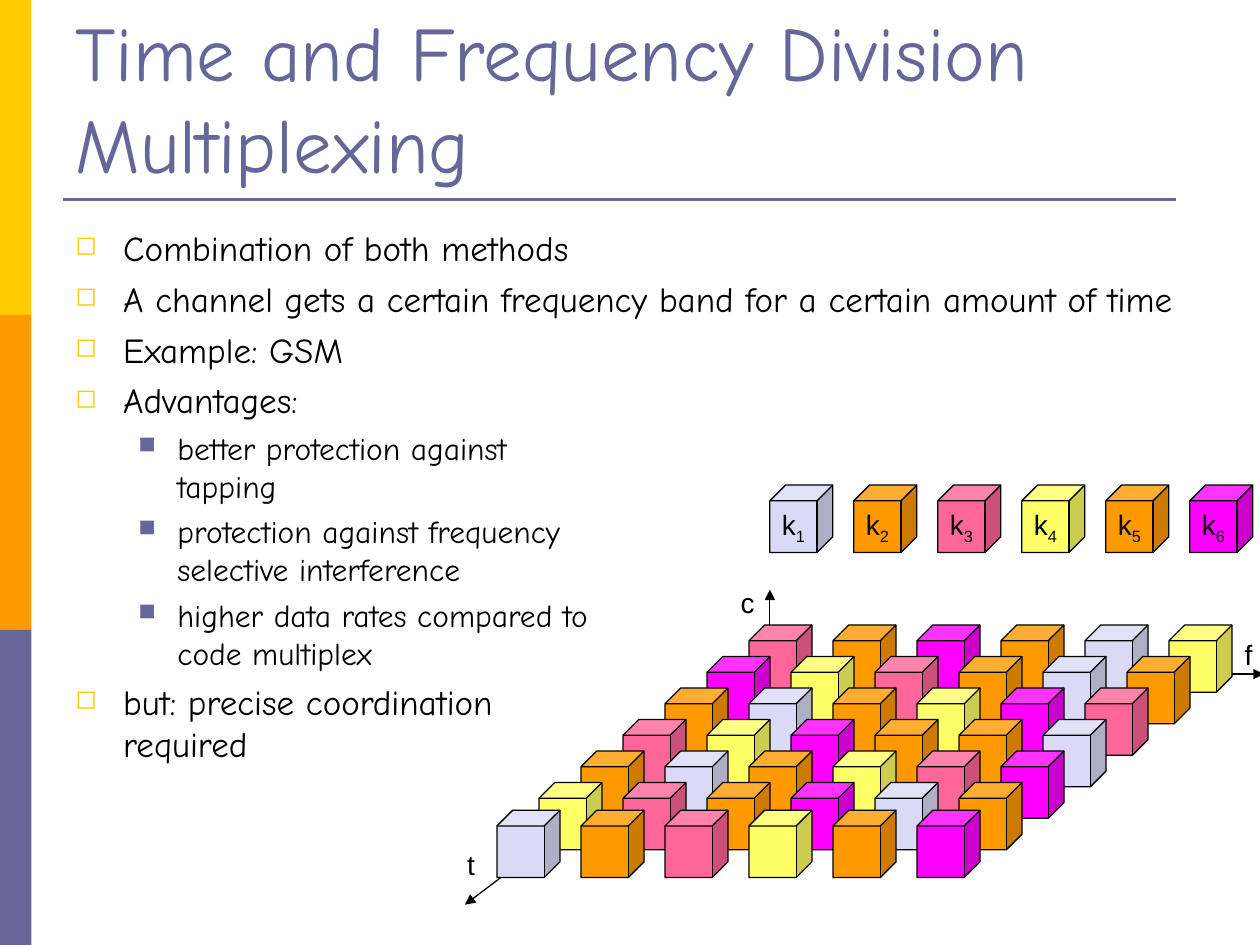
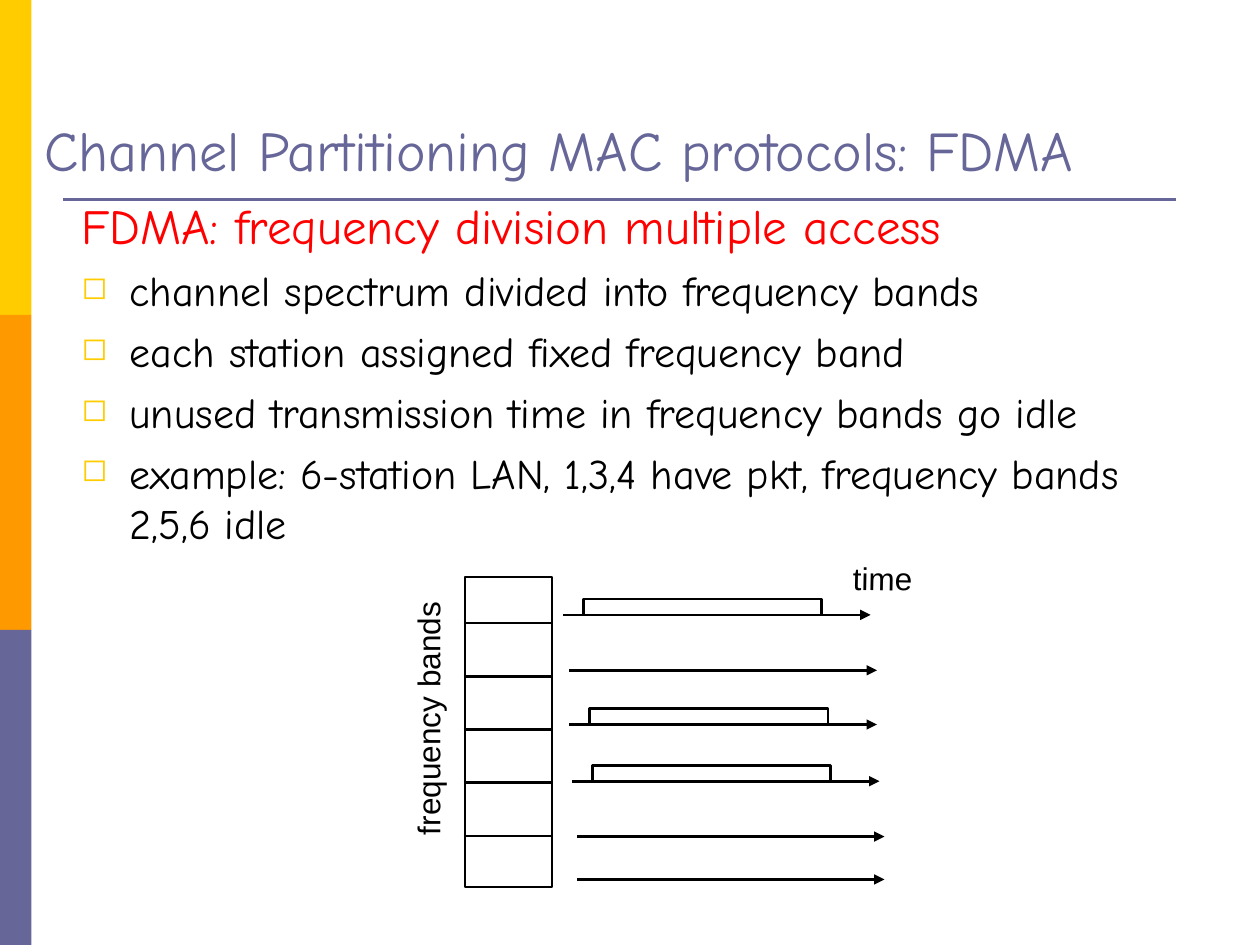
from dataclasses import dataclass

from lxml import etree
from pptx import Presentation
from pptx.dml.color import RGBColor
from pptx.enum.shapes import MSO_CONNECTOR, MSO_SHAPE
from pptx.enum.text import MSO_ANCHOR, MSO_AUTO_SIZE, PP_ALIGN
from pptx.oxml.ns import qn
from pptx.util import Emu, Inches, Pt

STRAIGHT = MSO_CONNECTOR.STRAIGHT
RECTANGLE, CUBE = MSO_SHAPE.RECTANGLE, MSO_SHAPE.CUBE
TOP, MIDDLE, BOTTOM = MSO_ANCHOR.TOP, MSO_ANCHOR.MIDDLE, MSO_ANCHOR.BOTTOM
LEFT, CENTER = PP_ALIGN.LEFT, PP_ALIGN.CENTER
NO_AUTOFIT = MSO_AUTO_SIZE.NONE

COLORS = {
    "slate": "666699", "gold": "FFCC00", "orange": "FF9900", "red": "FF0000",
    "black": "000000", "white": "FFFFFF", "lilac": "DADAF6", "pink": "FF6699",
    "yellow": "FFFF66", "magenta": "FF00FF",
}
HEADING_FONT, LABEL_FONT = "Comic Neue", "Arial"

# The slide is a grid of 40 columns by 30 rows of square cells
SLIDE_WIDTH, SLIDE_HEIGHT = Inches(10), Inches(7.5)
COLUMNS, ROWS = 40, 30
CELL = SLIDE_WIDTH / COLUMNS


@dataclass(frozen=True)
class Box:
    """A place on the grid, in columns and rows."""
    column: float
    row: float
    columns: float
    rows: float

    def lengths(self) -> list[Emu]:
        return [cells(n) for n in (self.column, self.row, self.columns, self.rows)]


@dataclass(frozen=True)
class Bullet:
    character: str
    color: str
    indent: float
    hanging: float


@dataclass(frozen=True)
class Item:
    text: str
    size: float
    space_before: float
    bullet: Bullet | None = None
    color: str = "black"


@dataclass(frozen=True)
class Lane:
    """The time axis of one frequency band."""
    column: float
    row: float
    busy: bool


MAIN = Bullet("◻", "gold", 0.38, 0.38)
SUB = Bullet("■", "slate", 0.81, 0.31)

# Slide 1
MULTIPLEX_ITEMS = [
    Item("Combination of both methods", 20, 5, MAIN),
    Item("A channel gets a certain frequency band for a certain amount of time", 20, 5, MAIN),
    Item("Example: GSM", 20, 5, MAIN),
    Item("Advantages:", 20, 5, MAIN),
    Item("better protection against\ntapping", 18, 4.5, SUB),
    Item("protection against frequency\nselective interference", 18, 4.5, SUB),
    Item("higher data rates compared to\ncode multiplex", 18, 4.5, SUB),
    Item("but: precise coordination\nrequired", 20, 5, MAIN),
]
CHANNELS = ["lilac", "orange", "pink", "yellow", "orange", "magenta"]
# Channel numbers from the back time slot to the front one
TIME_SLOTS = ["326514", "643215", "215463", "346251", "215436", "432615", "123456"]
CUBE_PITCH = 8 / 3

# Slide 2
FDMA_ITEMS = [
    Item("FDMA: frequency division multiple access", 28, 0, color="red"),
    Item("channel spectrum divided into frequency bands", 24, 6, MAIN),
    Item("each station assigned fixed frequency band", 24, 6, MAIN),
    Item("unused transmission time in frequency bands go idle", 24, 6, MAIN),
    Item("example: 6-station LAN, 1,3,4 have pkt, frequency bands 2,5,6 idle", 24, 6, MAIN),
]
LANES = [
    Lane(17.88, 19.52, True), Lane(18.08, 21.28, False), Lane(18.08, 23, True),
    Lane(18.16, 24.8, True), Lane(18.32, 26.56, False), Lane(18.32, 27.92, False),
]


def cells(count: float) -> Emu:
    return Emu(round(count * CELL))


def rgb(name: str) -> RGBColor:
    return RGBColor.from_string(COLORS[name])


def add_bullet(paragraph, bullet: Bullet) -> None:
    properties = paragraph._p.get_or_add_pPr()
    properties.set("marL", str(Inches(bullet.indent)))
    properties.set("indent", str(-Inches(bullet.hanging)))
    color = etree.SubElement(properties, qn("a:buClr"))
    etree.SubElement(color, qn("a:srgbClr"), val=COLORS[bullet.color])
    etree.SubElement(properties, qn("a:buSzPct"), val="75000")
    etree.SubElement(properties, qn("a:buChar"), char=bullet.character)


def write(frame, text: str, *, size: float, font: str = LABEL_FONT, color: str = "black",
          align=LEFT, space_before: float = 0, bullet: Bullet | None = None,
          subscript: str = "") -> None:
    """Write text as the next paragraph of a frame."""
    paragraph = frame.add_paragraph() if frame.text else frame.paragraphs[0]
    paragraph.text = text
    if bullet:
        add_bullet(paragraph, bullet)
    paragraph.alignment = align
    paragraph.space_before = Pt(space_before)
    if subscript:
        run = paragraph.add_run()
        run.text = subscript
        run.font._element.set("baseline", "-25000")
    for run in paragraph.runs:
        run.font.name, run.font.size = font, Pt(size)
        run.font.color.rgb = rgb(color)


def set_frame(frame, anchor=TOP, wrap: bool = True) -> None:
    frame.auto_size = NO_AUTOFIT
    frame.word_wrap = wrap
    frame.vertical_anchor = anchor


def add_shape(slide, kind, box: Box, fill: str, line_width: float = 0):
    shape = slide.shapes.add_shape(kind, *box.lengths())
    shape.shadow.inherit = False
    shape.fill.solid()
    shape.fill.fore_color.rgb = rgb(fill)
    if line_width:
        shape.line.color.rgb = rgb("black")
        shape.line.width = Pt(line_width)
    else:
        shape.line.fill.background()
    return shape


def add_line(slide, start: tuple[float, float], end: tuple[float, float], width: float,
             color: str = "black", arrow: bool = False) -> None:
    line = slide.shapes.add_connector(STRAIGHT, *map(cells, start + end))
    line.line.color.rgb = rgb(color)
    line.line.width = Pt(width)
    if arrow:
        etree.SubElement(line.line._get_or_add_ln(), qn("a:tailEnd"), type="triangle")
    etree.SubElement(line._element.spPr, qn("a:effectLst"))


def add_label(slide, text: str, box: Box, size: float, rotation: float = 0) -> None:
    label = slide.shapes.add_textbox(*box.lengths())
    label.rotation = rotation
    set_frame(label.text_frame, wrap=False)
    write(label.text_frame, text, size=size)


def add_body(slide, box: Box, items: list[Item]) -> None:
    frame = slide.shapes.add_textbox(*box.lengths()).text_frame
    set_frame(frame)
    for item in items:
        write(frame, item.text, size=item.size, font=HEADING_FONT, color=item.color,
              space_before=item.space_before, bullet=item.bullet)


def add_slide(presentation, title: str, box: Box, size: float):
    """Start a slide with the side bands, the rule and the title."""
    slide = presentation.slides.add_slide(presentation.slide_layouts[5])
    band_rows = ROWS / 3
    for index, color in enumerate(("gold", "orange", "slate")):
        add_shape(slide, RECTANGLE, Box(0, index * band_rows, 1, band_rows), color)
    add_line(slide, (2, 6.33), (37.33, 6.33), 1.5, "slate")
    shape = slide.shapes.title
    shape.left, shape.top, shape.width, shape.height = box.lengths()
    set_frame(shape.text_frame, BOTTOM)
    write(shape.text_frame, title, size=size, font=HEADING_FONT, color="slate")
    return slide


def add_cube(slide, column: float, row: float, channel: int):
    return add_shape(slide, CUBE, Box(column, row, 2, 2.14), CHANNELS[channel - 1], 0.75)


def add_multiplexing_slide(presentation) -> None:
    slide = add_slide(presentation, "Time and Frequency Division Multiplexing",
                      Box(2, 1.2, 37.12, 5), 44)
    # Axes: frequency, time, code
    origin = (24.44, 21.4)
    for end in ((40.12, 21.4), (14.76, 28.72), (24.44, 18.72)):
        add_line(slide, origin, end, 0.75, arrow=True)
    add_body(slide, Box(2, 7, 36, 19.8), MULTIPLEX_ITEMS)

    # Cubes: each time slot stands half a cube pitch further left
    front = len(TIME_SLOTS) - 1
    for slot, channels in enumerate(TIME_SLOTS):
        row = 25.72 if slot == front else 19.84 + slot
        for band, channel in enumerate(channels):
            add_cube(slide, 23.78 + (band - slot / 2) * CUBE_PITCH, row, int(channel))

    for text, column, row in (("f", 39.12, 20.04), ("t", 14.44, 26.72), ("c", 23.12, 18.4)):
        add_label(slide, text, Box(column, row, 1.04, 1.48), 16)

    # Legend
    for index in range(len(CHANNELS)):
        cube = add_cube(slide, 24.44 + index * CUBE_PITCH, 15.4, index + 1)
        set_frame(cube.text_frame, MIDDLE, wrap=False)
        write(cube.text_frame, "k", size=16, align=CENTER, subscript=str(index + 1))


def add_pulse(slide, lane: Lane) -> None:
    left, right, top = lane.column + 0.64, lane.column + 8.2, lane.row - 0.5
    builder = slide.shapes.build_freeform(cells(left), cells(lane.row))
    corners = [(left, top), (right, top), (right, lane.row)]
    builder.add_line_segments([(cells(x), cells(y)) for x, y in corners], close=False)
    pulse = builder.convert_to_shape()
    pulse.shadow.inherit = False
    pulse.fill.background()
    pulse.line.color.rgb = rgb("black")
    pulse.line.width = Pt(1.5)


def add_fdma_slide(presentation) -> None:
    slide = add_slide(presentation, "Channel Partitioning MAC protocols: FDMA",
                      Box(1, 1, 37.76, 5), 32)
    add_body(slide, Box(2.2, 6, 35.96, 15.28), FDMA_ITEMS)

    # Stack of frequency bands
    add_shape(slide, RECTANGLE, Box(14.76, 18.32, 2.76, 9.84), "white", 1.5)
    for index in range(len(LANES) - 1):
        row = 19.78 + index * 1.69
        add_line(slide, (14.72, row), (17.48, row), 1.5)

    # Time axes, with a pulse where a station sends
    for lane in LANES:
        add_line(slide, (lane.column, lane.row), (lane.column + 9.76, lane.row), 1.5, arrow=True)
        if lane.busy:
            add_pulse(slide, lane)

    add_label(slide, "frequency bands", Box(9.48, 22, 8.2, 1.6), 18, rotation=270)
    add_label(slide, "time", Box(26.68, 17.56, 2.68, 1.6), 18, rotation=1.1)


def main() -> None:
    presentation = Presentation()
    presentation.slide_width, presentation.slide_height = SLIDE_WIDTH, SLIDE_HEIGHT
    add_multiplexing_slide(presentation)
    add_fdma_slide(presentation)
    presentation.save("out.pptx")


if __name__ == "__main__":
    main()
